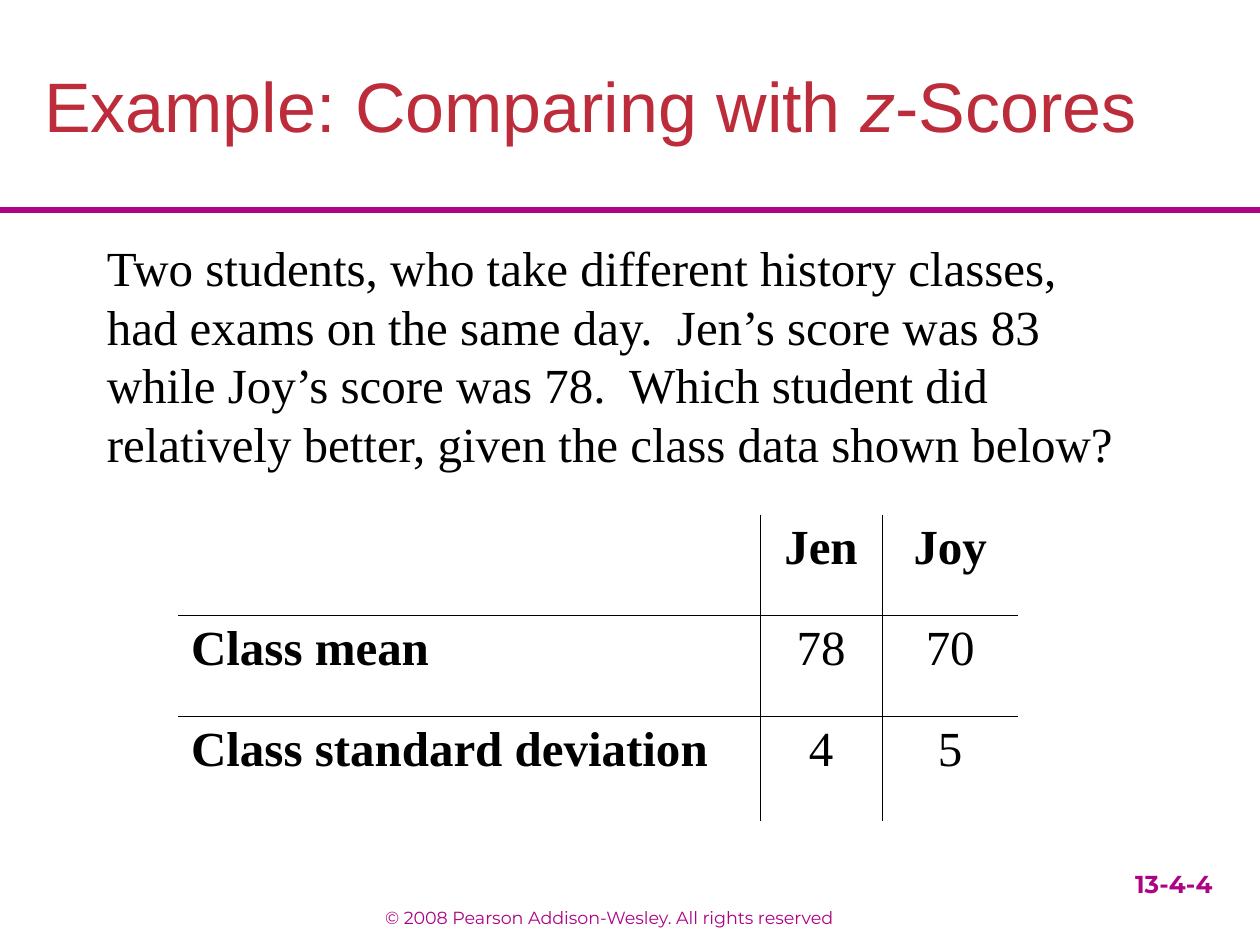
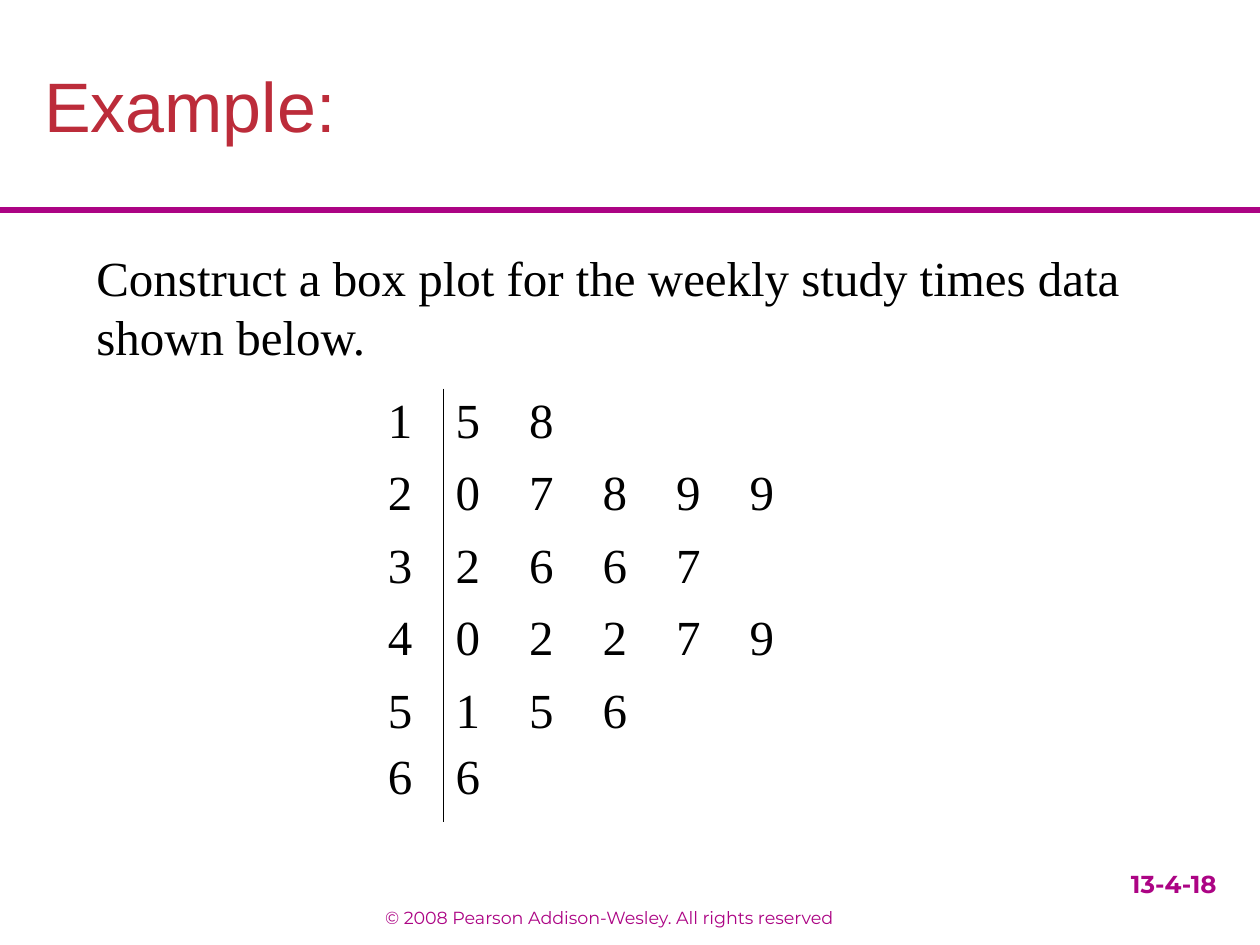
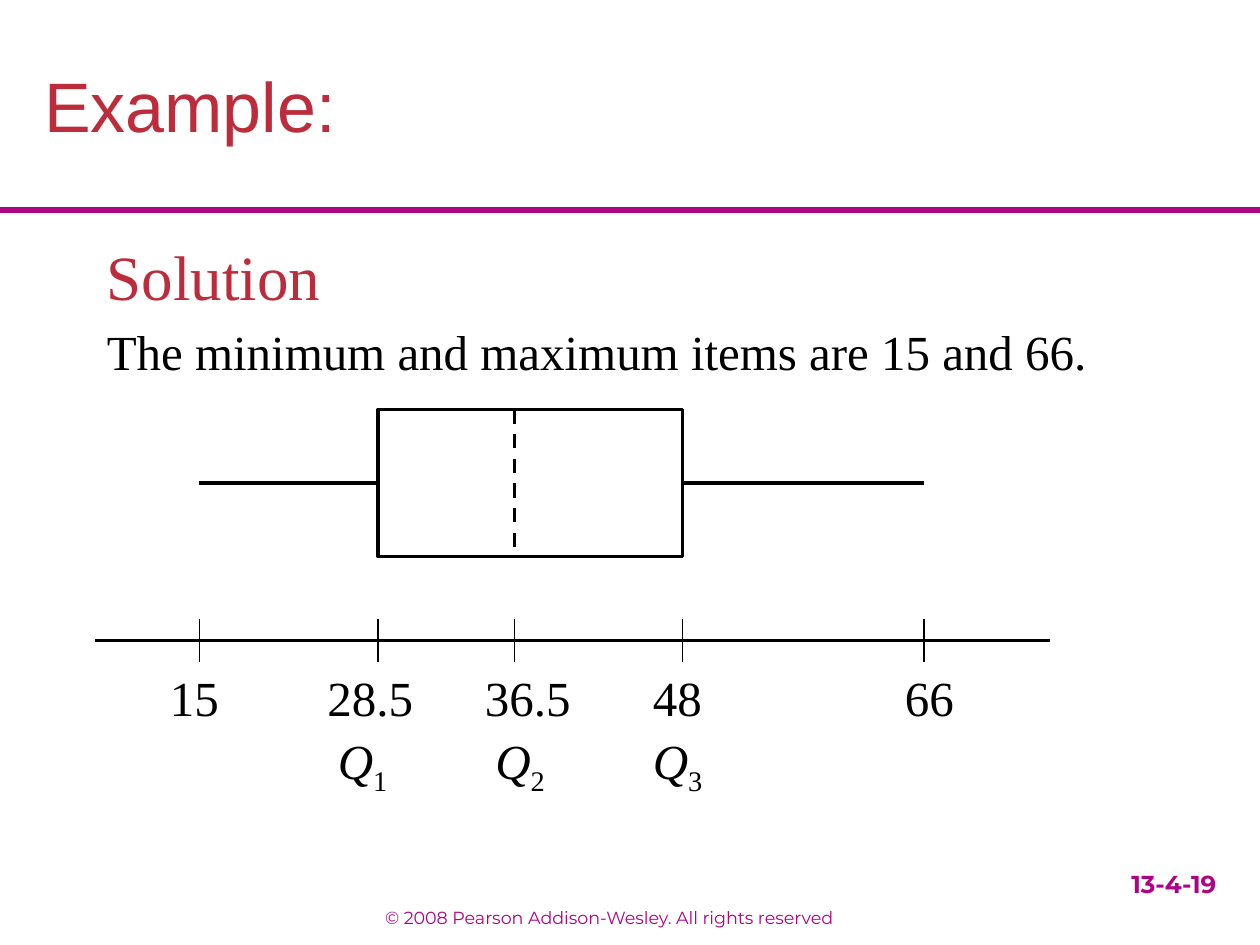
from dataclasses import dataclass

from lxml import etree
from pptx import Presentation
from pptx.dml.color import RGBColor
from pptx.enum.dml import MSO_LINE
from pptx.enum.shapes import MSO_CONNECTOR, MSO_SHAPE
from pptx.enum.text import MSO_ANCHOR, MSO_AUTO_SIZE, PP_ALIGN
from pptx.oxml.ns import qn
from pptx.shapes.autoshape import Shape
from pptx.shapes.connector import Connector
from pptx.slide import Slide
from pptx.util import Emu, Pt

PX = 7620
WIDTH, HEIGHT = 1200, 900

BLACK = RGBColor(0x00, 0x00, 0x00)
RED = RGBColor(0xBC, 0x2C, 0x3A)
PURPLE = RGBColor(0xAC, 0x04, 0x84)

COPYRIGHT = "© 2008 Pearson Addison-Wesley. All rights reserved"
LEAF_GAP = 70
CELL_SPACE = Pt(7)
BORDER = Pt(0.45)


@dataclass(frozen=True)
class Box:
    left: int
    top: int
    width: int
    height: int

    def emu(self) -> tuple[Emu, Emu, Emu, Emu]:
        return px(self.left), px(self.top), px(self.width), px(self.height)


@dataclass(frozen=True)
class Style:
    font: str
    size: int
    color: RGBColor
    bold: bool = False


@dataclass(frozen=True)
class Quantity:
    value: str
    tick: int
    label: int
    width: int = 160
    quartile: str = ""


TITLE = Style("Arial", 40, RED)
BODY = Style("Times New Roman", 28, BLACK)
STRONG = Style("Times New Roman", 28, BLACK, True)
SUBTITLE = Style("Times New Roman", 36, RED)
FOOTER = Style("Montserrat", 10, PURPLE)
NUMBER = Style("Montserrat", 14, PURPLE, True)

QUANTITIES = [
    Quantity("15", 190, 150),
    Quantity("28.5", 360, 300, quartile="1"),
    Quantity("36.5", 490, 450, quartile="2"),
    Quantity("48", 650, 610, quartile="3"),
    Quantity("66", 880, 850, 100),
]


def px(n: int) -> Emu:
    return Emu(n * PX)


def format_runs(tf, style: Style) -> None:
    for p in tf.paragraphs:
        for r in p.runs:
            r.font.name = style.font
            r.font.size = Pt(style.size)
            r.font.bold = style.bold
            r.font.color.rgb = style.color


def add_text(slide: Slide, box: Box, text: str, style: Style) -> Shape:
    sp = slide.shapes.add_textbox(*box.emu())
    tf = sp.text_frame
    tf.word_wrap = True
    tf.auto_size = MSO_AUTO_SIZE.SHAPE_TO_FIT_TEXT
    tf.text = text
    format_runs(tf, style)
    return sp


def add_footer(slide: Slide, box: Box, text: str, style: Style) -> None:
    tf = add_text(slide, box, text, style).text_frame
    tf.auto_size = MSO_AUTO_SIZE.NONE
    tf.vertical_anchor = MSO_ANCHOR.BOTTOM
    tf.paragraphs[0].alignment = PP_ALIGN.CENTER


def add_line(slide: Slide, x1: int, y1: int, x2: int, y2: int,
             width: float = 2, color: RGBColor = BLACK) -> Connector:
    cn = slide.shapes.add_connector(
        MSO_CONNECTOR.STRAIGHT, px(x1), px(y1), px(x2), px(y2))
    cn.line.width = Pt(width)
    cn.line.color.rgb = color
    etree.SubElement(cn.element.spPr, qn("a:effectLst"))
    return cn


def add_slide(prs, title: str, number: str) -> Slide:
    slide = prs.slides.add_slide(prs.slide_layouts[5])
    sp = slide.shapes.title
    sp.left, sp.top, sp.width, sp.height = Box(30, 50, 1130, 110).emu()
    tf = sp.text_frame
    tf.text = title
    tf.vertical_anchor = MSO_ANCHOR.MIDDLE
    p = tf.paragraphs[0]
    p.alignment = PP_ALIGN.LEFT
    p.line_spacing = 0.9
    format_runs(tf, TITLE)
    add_footer(slide, Box(210, 830, 740, 60), COPYRIGHT, FOOTER)
    add_footer(slide, Box(1058, 802, 120, 60), number, NUMBER)
    return slide


def set_borders(cell, **shown: bool) -> None:
    tcPr = cell._tc.get_or_add_tcPr()
    for side in "LRTB":
        ln = etree.SubElement(tcPr, qn(f"a:ln{side}"), w=str(BORDER))
        if shown[side]:
            fill = etree.SubElement(ln, qn("a:solidFill"))
            etree.SubElement(fill, qn("a:srgbClr"), val=str(BLACK))
        else:
            etree.SubElement(ln, qn("a:noFill"))
    cell.fill.background()


def set_tabs(p, count: int) -> None:
    tabs = etree.SubElement(p._p.get_or_add_pPr(), qn("a:tabLst"))
    for i in range(1, count + 1):
        etree.SubElement(tabs, qn("a:tab"), pos=str(px(i * LEAF_GAP)), algn="l")


def add_grid(slide: Slide, left: int, top: int, widths: list[int],
             heights: list[int], texts: list[list[str]], ruled: bool):
    box = Box(left, top, sum(widths), sum(heights))
    table = slide.shapes.add_table(len(heights), len(widths), *box.emu()).table
    table.first_row = table.horz_banding = False
    for column, width in zip(table.columns, widths):
        column.width = px(width)
    for row, height in zip(table.rows, heights):
        row.height = px(height)
    for i, row in enumerate(texts):
        for j, text in enumerate(row):
            cell = table.cell(i, j)
            set_borders(cell, L=j > 0, R=j < len(widths) - 1,
                        T=ruled and i > 0, B=ruled and i < len(heights) - 1)
            if not text:
                continue
            tf = cell.text_frame
            tf.text = text
            for p in tf.paragraphs[1:]:
                p.space_before = CELL_SPACE
            format_runs(tf, BODY)
    return table


def build_scores(prs) -> None:
    slide = add_slide(prs, "Example: Comparing with z-Scores", "13-4-4")
    p = slide.shapes.title.text_frame.paragraphs[0]
    p.text = ""
    for text in ("Example: Comparing with ", "z", "-Scores"):
        r = p.add_run()
        r.text = text
        r.font.italic = text == "z"
    format_runs(slide.shapes.title.text_frame, TITLE)

    rule = add_line(slide, 0, 200, WIDTH, 200, 3, PURPLE)
    slide.slide_layout.shapes.element.append(rule.element)

    add_text(slide, Box(90, 220, 990, 236),
             "Two students, who take different history classes, had exams on "
             "the same day.  Jen’s score was 83 while Joy’s score was 78.  "
             "Which student did relatively better, given the class data shown "
             "below?", BODY)
    texts = [["", "Jen", "Joy"],
             ["Class mean", "78", "70"],
             ["Class standard deviation", "4", "5"]]
    table = add_grid(slide, 170, 490, [554, 116, 130], [96, 96, 100], texts, True)
    for i in range(3):
        for j in range(3):
            tf = table.cell(i, j).text_frame
            if j > 0:
                tf.paragraphs[0].alignment = PP_ALIGN.CENTER
            if i == 0 or j == 0:
                format_runs(tf, STRONG)


def build_stems(prs) -> None:
    slide = add_slide(prs, "Example:", "13-4-18")
    texts = [["1", "5\t8"],
             ["2", "0\t7\t8\t9\t9"],
             ["3", "2\t6\t6\t7"],
             ["4", "0\t2\t2\t7\t9"],
             ["5\n6", "1\t5\t6\n6"]]
    table = add_grid(slide, 340, 370, [82, 468], [69] * 4 + [137], texts, False)
    for i in range(len(texts)):
        for p in table.cell(i, 0).text_frame.paragraphs:
            p.alignment = PP_ALIGN.CENTER
        for p in table.cell(i, 1).text_frame.paragraphs:
            set_tabs(p, 4)
    add_text(slide, Box(80, 230, 1050, 125),
             "Construct a box plot for the weekly study times data shown below.",
             BODY)


def build_box_plot(prs) -> None:
    slide = add_slide(prs, "Example:", "13-4-19")
    add_text(slide, Box(90, 220, 510, 84), "Solution", SUBTITLE)
    add_text(slide, Box(90, 300, 970, 68),
             "The minimum and maximum items are 15 and 66.", BODY)

    low, q1, q2, q3, high = (q.tick for q in QUANTITIES)
    top, middle, bottom, axis = 390, 460, 530, 610
    box = slide.shapes.add_shape(
        MSO_SHAPE.RECTANGLE, *Box(q1, top, q3 - q1, bottom - top).emu())
    box.shadow.inherit = False
    box.fill.background()
    box.line.color.rgb = BLACK
    box.line.width = Pt(2)
    add_line(slide, q2, top, q2, bottom).line.dash_style = MSO_LINE.DASH
    add_line(slide, q1, middle, low, middle).begin_connect(box, 1)
    add_line(slide, q3, middle, high, middle).begin_connect(box, 3)

    add_line(slide, 90, axis, 1000, axis)
    for q in QUANTITIES:
        add_line(slide, q.tick, axis - 20, q.tick, axis + 20, 0.75)
        add_text(slide, Box(q.label, 630, q.width, 68), q.value, BODY)
        if q.quartile:
            left = 310 + 150 * (int(q.quartile) - 1)
            tf = add_text(slide, Box(left, 690, 100, 75), "Q", BODY).text_frame
            p = tf.paragraphs[0]
            p.runs[0].font.italic = True
            r = p.add_run()
            r.text = q.quartile
            format_runs(tf, BODY)
            r._r.get_or_add_rPr().set("baseline", "-25000")


def main() -> None:
    prs = Presentation()
    prs.slide_width, prs.slide_height = px(WIDTH), px(HEIGHT)
    build_scores(prs)
    build_stems(prs)
    build_box_plot(prs)
    prs.save("out.pptx")


if __name__ == "__main__":
    main()
